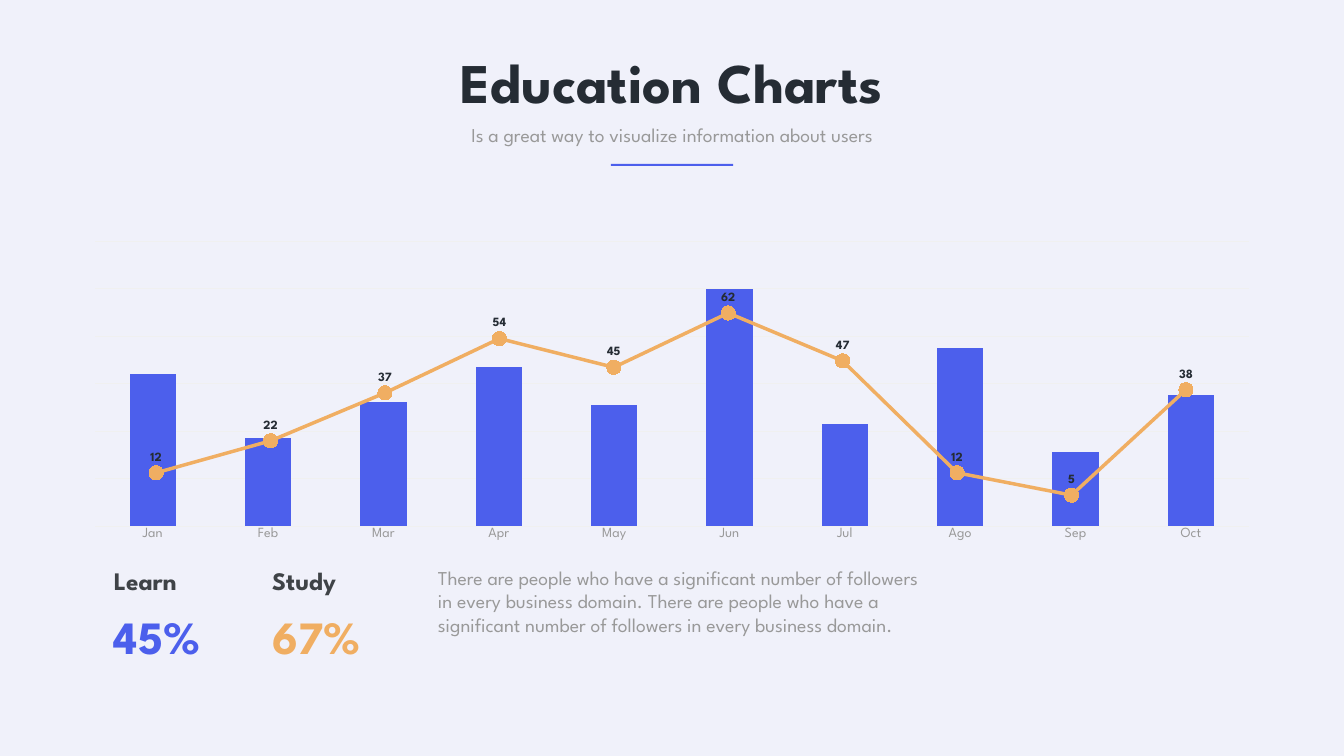
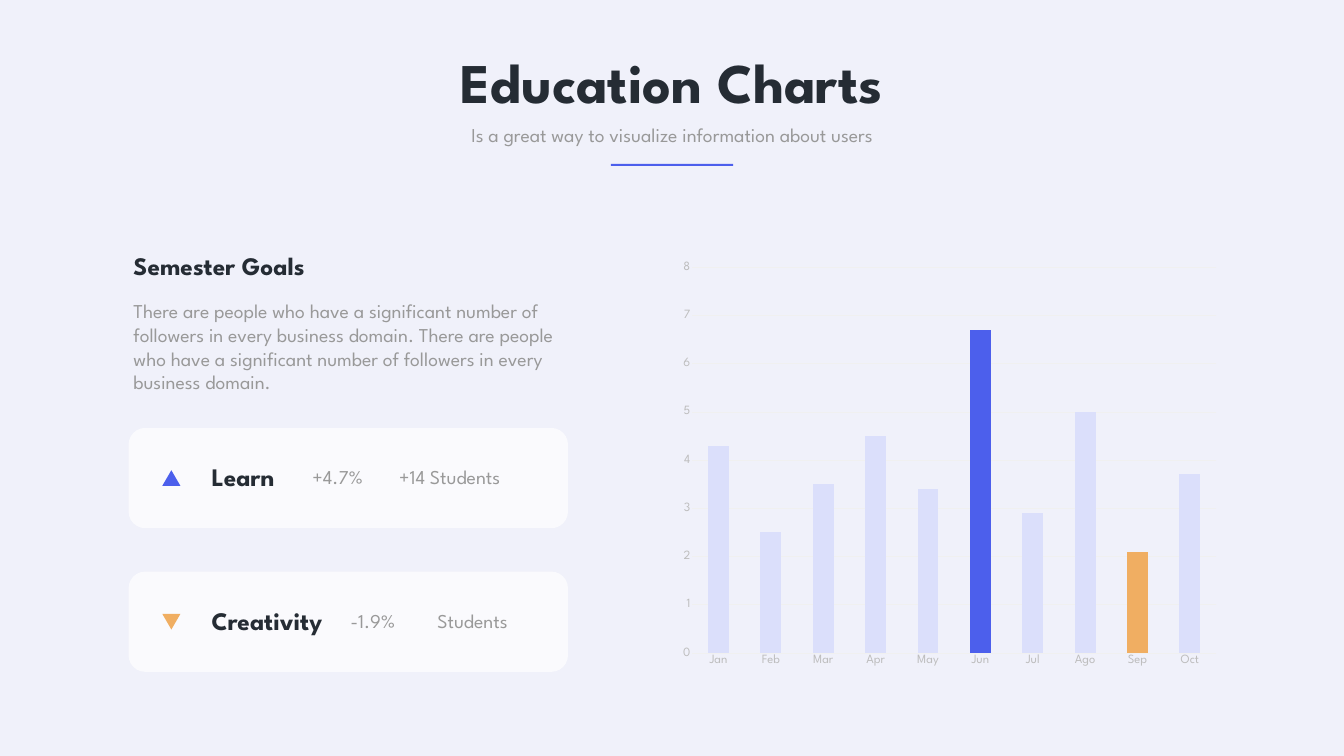
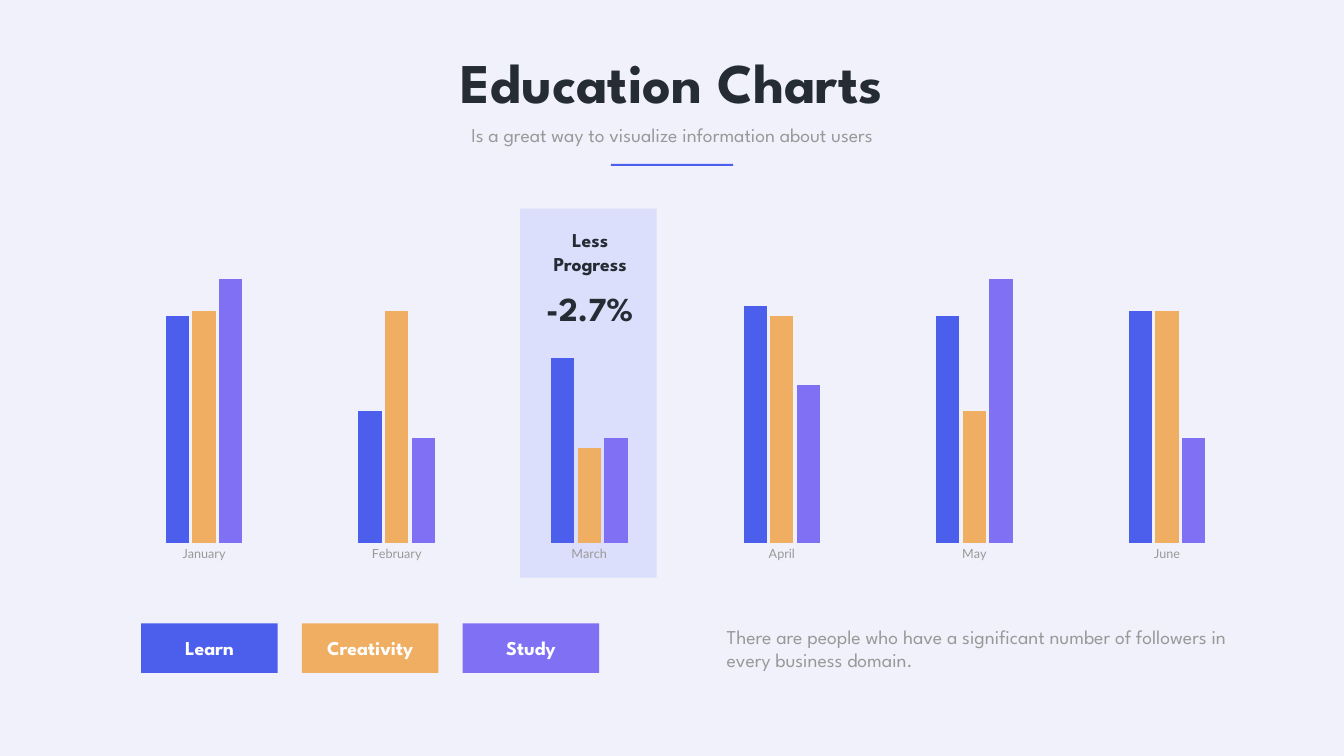
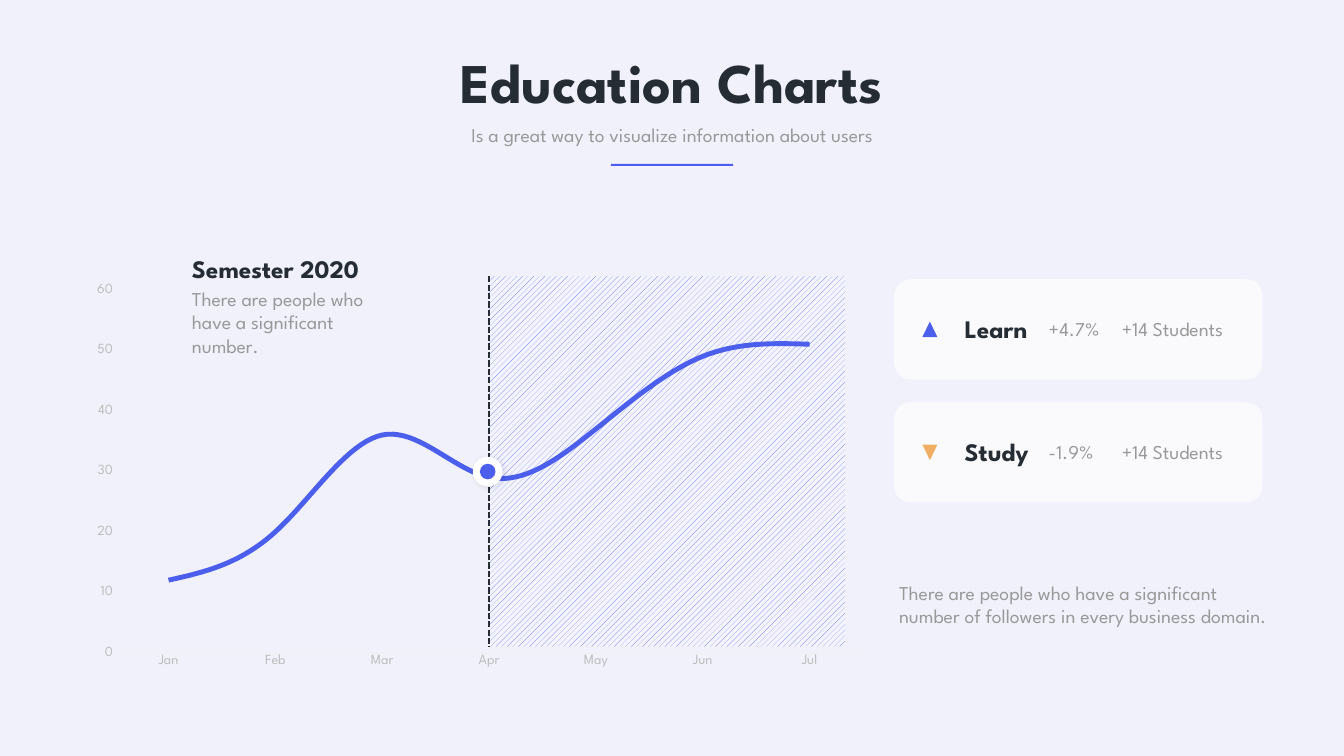
import lxml.etree
import pptx
import pptx.chart.data
import pptx.dml.color
import pptx.enum.chart
import pptx.enum.dml
import pptx.enum.shapes
import pptx.enum.text
import pptx.oxml.ns
import pptx.util

COLUMNS, ROWS = 80, 45
CELL = pptx.util.Inches(15) / ROWS
FONT = "League Spartan"
PAPER, WHITE, BLUE, ORANGE, VIOLET = "F0F1FA", "FFFFFF", "4C5FEC", "F0AE62", "7F70F4"
PALE, INK, SLATE, GREY, SILVER, GRID = "DBDFFB", "252C34", "3F4347", "999999", "BDBDBD", "F0F0F0"

SHAPE = pptx.enum.shapes.MSO_SHAPE
ALIGN = pptx.enum.text.PP_ALIGN
ANCHOR = pptx.enum.text.MSO_ANCHOR
CHART = pptx.enum.chart.XL_CHART_TYPE

MONTHS = ["Jan", "Feb", "Mar", "Apr", "May", "Jun", "Jul", "Ago", "Sep", "Oct"]
SENTENCE = "There are people who have a significant number of followers in every business domain."


def grid(cells):
    return round(cells * CELL)


def place(box):
    return [grid(cells) for cells in box]


def rgb(color):
    return pptx.dml.color.RGBColor.from_string(color)


def apply(target, values):
    for name, value in values.items():
        setattr(target, name, value)


def style_font(font, size, color, bold=False, face=FONT):
    apply(font, {"name": face, "size": pptx.util.Pt(size), "bold": bold})
    font.color.rgb = rgb(color)


def style_line(line, color, width):
    line.color.rgb = rgb(color)
    line.width = pptx.util.Pt(width)


def child(parent, tag, **attributes):
    element = lxml.etree.SubElement(parent, pptx.oxml.ns.qn(tag))
    for name, value in attributes.items():
        element.set(name, str(value))
    return element


def write(frame, content, size, color, bold=False, align=ALIGN.LEFT, spacing=None):
    paragraph = frame.paragraphs[0]
    paragraph.text = content
    apply(paragraph, {"alignment": align, "line_spacing": spacing})
    style_font(paragraph.runs[0].font, size, color, bold)


def add_text(slide, box, content, size=28, color=GREY, inset=None, **style):
    frame = slide.shapes.add_textbox(*place(box)).text_frame
    apply(frame, {"word_wrap": True,
                  "auto_size": pptx.enum.text.MSO_AUTO_SIZE.SHAPE_TO_FIT_TEXT})
    if inset:
        sides = ("margin_left", "margin_top", "margin_right", "margin_bottom")
        apply(frame, dict.fromkeys(sides, grid(inset)))
        frame.vertical_anchor = ANCHOR.MIDDLE
    write(frame, content, size, color, **style)


def add_block(slide, kind, box, color, opacity=100):
    block = slide.shapes.add_shape(kind, *place(box))
    block.shadow.inherit = False
    block.line.fill.background()
    block.fill.solid()
    block.fill.fore_color.rgb = rgb(color)
    if opacity < 100:
        tint = block.fill._xPr.find(".//" + pptx.oxml.ns.qn("a:srgbClr"))
        child(tint, "a:alpha", val=opacity * 1000)
    return block


def add_header(slide):
    def centred(width, top, height):
        return (COLUMNS - width) / 2, top, width, height

    add_text(slide, centred(38.73, 2.7, 4.35), "Education Charts", 80, INK,
             bold=True, align=ALIGN.CENTER)
    add_text(slide, centred(28.68, 7.14, 1.71),
             "Is a great way to visualize information about users", align=ALIGN.CENTER)
    add_block(slide, SHAPE.RECTANGLE, centred(7.29, 9.75, 0.12), BLUE)


def set_plot_area(chart, percents):
    area = chart._chartSpace.chart.plotArea
    for previous in area.findall(pptx.oxml.ns.qn("c:layout")):
        area.remove(previous)
    layout = child(area, "c:layout")
    area.insert(0, layout)
    manual = child(layout, "c:manualLayout")
    child(manual, "c:layoutTarget", val="inner")
    for name in ("xMode", "yMode"):
        child(manual, "c:" + name, val="edge")
    for name, percent in zip("xywh", percents):
        child(manual, "c:" + name, val=percent / 100)


def style_axis(axis, size, color, line, face):
    apply(axis, {"major_tick_mark": pptx.enum.chart.XL_TICK_MARK.NONE,
                 "minor_tick_mark": pptx.enum.chart.XL_TICK_MARK.NONE})
    style_font(axis.tick_labels.font, size, color, face=face)
    if line:
        style_line(axis.format.line, line, 0.75)
    else:
        axis.format.line.fill.background()


def add_chart(slide, kind, box, area, categories, series, top, step, size=18, color=GREY,
              face=FONT, base=GRID, gridlines=False, hide_values=True, hide_categories=False):
    data = pptx.chart.data.CategoryChartData()
    data.categories = categories
    for number, values in enumerate(series, 1):
        data.add_series(f"Series {number}", values)
    chart = slide.shapes.add_chart(kind, *place(box), data).chart
    apply(chart, {"has_legend": False, "has_title": False})
    style_font(chart.font, size, GREY, face=face)
    chart.plots[0].vary_by_categories = False
    style_axis(chart.category_axis, size, color, base, face)
    chart.category_axis.visible = not hide_categories
    values = chart.value_axis
    style_axis(values, size, color, None, face)
    apply(values, {"minimum_scale": 0, "maximum_scale": top, "major_unit": step,
                   "has_major_gridlines": gridlines, "visible": not hide_values})
    if gridlines:
        style_line(values.major_gridlines.format.line, GRID, 0.75)
    set_plot_area(chart, area)
    return chart


def style_columns(chart, colors, gap, overlap):
    plot = chart.plots[0]
    apply(plot, {"gap_width": gap, "overlap": overlap})
    for series, color in zip(plot.series, colors):
        series.invert_if_negative = False
        series.format.fill.solid()
        series.format.fill.fore_color.rgb = rgb(color)


def add_goal_card(slide, box, stops, icon_width, color, texts, falling=False):
    left, top, _, _ = box
    icon, name, rate, count = (left + stop for stop in stops)
    add_block(slide, SHAPE.ROUNDED_RECTANGLE, box, WHITE, opacity=70)
    arrow = add_block(slide, SHAPE.ISOSCELES_TRIANGLE, (icon, top + 2.52, icon_width, 0.93), color)
    arrow.rotation = 180 if falling else 0
    add_text(slide, (name, top + 1.86, rate - name, 2.13), texts[0], 36, INK, bold=True)
    add_text(slide, (rate, top + 2.07, count - rate, 1.71), texts[1])
    add_text(slide, (count, top + 2.07, 8, 1.71), texts[2])


def build_monthly_trend(slide):
    columns = add_chart(slide, CHART.COLUMN_STACKED, (4.23, 13.92, 71.52, 18.66),
                        (2, 2.3, 96, 90.9), MONTHS,
                        [[64, 37, 52, 67, 51, 100, 43, 75, 31, 55]],
                        120, 20, size=20, gridlines=True)
    style_columns(columns, [BLUE], 150, 100)

    trend = add_chart(slide, CHART.LINE_MARKERS, (4.47, 16.89, 70.95, 13.83),
                      (2, 1.6, 96, 96.3), range(1, 11),
                      [[12, 22, 37, 54, 45, 62, 47, 12, 5, 38]],
                      70, 10, hide_categories=True).plots[0].series[0]
    trend.smooth = False
    style_line(trend.format.line, ORANGE, 5)
    apply(trend.marker, {"style": pptx.enum.chart.XL_MARKER_STYLE.CIRCLE, "size": 20})
    trend.marker.format.fill.solid()
    trend.marker.format.fill.fore_color.rgb = rgb(ORANGE)
    trend.marker.format.line.fill.background()
    apply(trend.data_labels, {"show_value": True,
                              "position": pptx.enum.chart.XL_LABEL_POSITION.ABOVE})
    style_font(trend.data_labels.font, 18, INK, bold=True)

    shares = [("Learn", "45%", BLUE), ("Study", "67%", ORANGE)]
    for index, (subject, share, color) in enumerate(shares):
        left = 6.6 + 9.42 * index
        add_text(slide, (left, 33.99, 11.58, 1.62), subject, 36, SLATE,
                 inset=0.18, bold=True, spacing=0.7)
        add_text(slide, (left, 36.03, 11.58, 3.66), share, 66, color, inset=0.18, bold=True)
    add_text(slide, (25.77, 33.51, 29.55, 5.97), f"{SENTENCE} {SENTENCE}")


def build_semester_goals(slide):
    chart = add_chart(slide, CHART.COLUMN_STACKED, (40.02, 15.12, 33.06, 25.08),
                      (3.6, 3.1, 94.3, 91.6), MONTHS,
                      [[4.3, 2.5, 3.5, 4.5, 3.4, 6.7, 2.9, 5, 2.1, 3.7]],
                      8, 1, color=SILVER, gridlines=True, hide_values=False)
    style_columns(chart, [PALE], 150, 100)
    for month, color in (("Jun", BLUE), ("Sep", ORANGE)):
        fill = chart.plots[0].series[0].points[MONTHS.index(month)].format.fill
        fill.solid()
        fill.fore_color.rgb = rgb(color)

    add_text(slide, (7.65, 14.73, 18, 2.13), "Semester Goals", 36, INK, bold=True)
    add_text(slide, (7.65, 17.67, 27.3, 5.97), f"{SENTENCE} {SENTENCE}")
    add_goal_card(slide, (7.65, 25.47, 26.16, 5.97), (2.01, 4.65, 10.65, 15.81), 1.08, BLUE,
                  ("Learn", "+4.7%", "+14 Students"))
    add_goal_card(slide, (7.65, 34.02, 26.16, 5.97), (2.01, 4.65, 12.93, 18.09), 1.08, ORANGE,
                  ("Creativity", "-1.9%", "Students"), falling=True)


def build_subject_comparison(slide):
    subjects = {"Learn": BLUE, "Creativity": ORANGE, "Study": VIOLET}
    add_block(slide, SHAPE.RECTANGLE, (30.96, 12.42, 8.13, 21.96), PALE)
    chart = add_chart(slide, CHART.COLUMN_CLUSTERED, (2.85, 11.43, 74.28, 23.25),
                      (4.8, 8.8, 92.6, 81.2),
                      ["January", "February", "March", "April", "May", "June"],
                      [[86, 50, 70, 90, 86, 88], [88, 88, 36, 86, 50, 88],
                       [100, 40, 40, 60, 100, 40]],
                      120, 20, face="Lato", base=None)
    style_columns(chart, subjects.values(), 500, -15)

    for index, (subject, color) in enumerate(subjects.items()):
        key = add_block(slide, SHAPE.RECTANGLE, (8.4 + 9.57 * index, 37.11, 8.13, 2.94), color)
        key.text_frame.vertical_anchor = ANCHOR.MIDDLE
        write(key.text_frame, subject, 28, WHITE, bold=True, align=ALIGN.CENTER)
    add_text(slide, (42.96, 37.02, 30.51, 3.12), SENTENCE)
    add_text(slide, (31.86, 13.44, 6.54, 3.12), "Less Progress", 28, INK,
             bold=True, align=ALIGN.CENTER)
    add_text(slide, (29.37, 16.98, 11.46, 2.76), "-2.7%", 48, INK,
             inset=0.18, bold=True, align=ALIGN.CENTER)


def add_current_point(slide, column, row):
    def disc(size, color):
        box = (column - size / 2, row - size / 2, size, size)
        return add_block(slide, SHAPE.OVAL, box, color)

    ring = disc(1.77, WHITE)
    effects = ring._element.spPr.find(pptx.oxml.ns.qn("a:effectLst"))
    shadow = child(effects, "a:outerShdw", blurRad=pptx.util.Pt(10), dist=pptx.util.Pt(3),
                   dir=45 * 60000, algn="tl", rotWithShape=0)
    child(child(shadow, "a:srgbClr", val="000000"), "a:alpha", val=10000)
    disc(0.93, BLUE)


def build_semester_curve(slide):
    start, top, bottom = 29.1, 16.44, 38.49
    forecast = add_block(slide, SHAPE.RECTANGLE, (start, top, 21.21, bottom - top), WHITE).fill
    forecast.patterned()
    forecast.pattern = pptx.enum.dml.MSO_PATTERN.PERCENT_10
    forecast.fore_color.rgb = rgb(BLUE)
    forecast.back_color.rgb = rgb("F3F4FF")

    curve = add_chart(slide, CHART.LINE, (4.86, top, 47.46, 23.85), (4.2, 3.4, 93.8, 90.6),
                      MONTHS[:7], [[12, 20, 36, 29, 37, 49, 51]], 60, 10,
                      size=20, color=SILVER, hide_values=False).plots[0].series[0]
    curve.smooth = True
    style_line(curve.format.line, BLUE, 7)

    today = slide.shapes.add_connector(pptx.enum.shapes.MSO_CONNECTOR.STRAIGHT,
                                       *place((start, top, start, bottom)))
    style_line(today.line, INK, 3)
    today.line.dash_style = pptx.enum.dml.MSO_LINE.SQUARE_DOT
    child(today._element.spPr, "a:effectLst")

    add_text(slide, (11.13, 16.92, 11.64, 4.53), "There are people who have a significant number.")
    add_text(slide, (11.13, 14.91, 11.64, 2.13), "Semester 2020", 36, INK, bold=True)
    goals = [("Learn", "+4.7%", BLUE), ("Study", "-1.9%", ORANGE)]
    for index, (subject, rate, color) in enumerate(goals):
        add_goal_card(slide, (53.22, 16.62 + 7.32 * index, 21.93, 5.97),
                      (1.68, 3.9, 8.91, 13.26), 0.9, color,
                      (subject, rate, "+14 Students"), falling=index == 1)
    add_current_point(slide, 29.03, 28.07)
    add_text(slide, (53.22, 34.41, 22.47, 4.53), SENTENCE)


def main():
    deck = pptx.Presentation()
    apply(deck, {"slide_width": grid(COLUMNS), "slide_height": grid(ROWS)})
    paper = deck.slide_master.background.fill
    paper.solid()
    paper.fore_color.rgb = rgb(PAPER)
    for build in (build_monthly_trend, build_semester_goals,
                  build_subject_comparison, build_semester_curve):
        slide = deck.slides.add_slide(deck.slide_layouts[6])
        add_header(slide)
        build(slide)
    deck.save("out.pptx")


if __name__ == "__main__":
    main()
